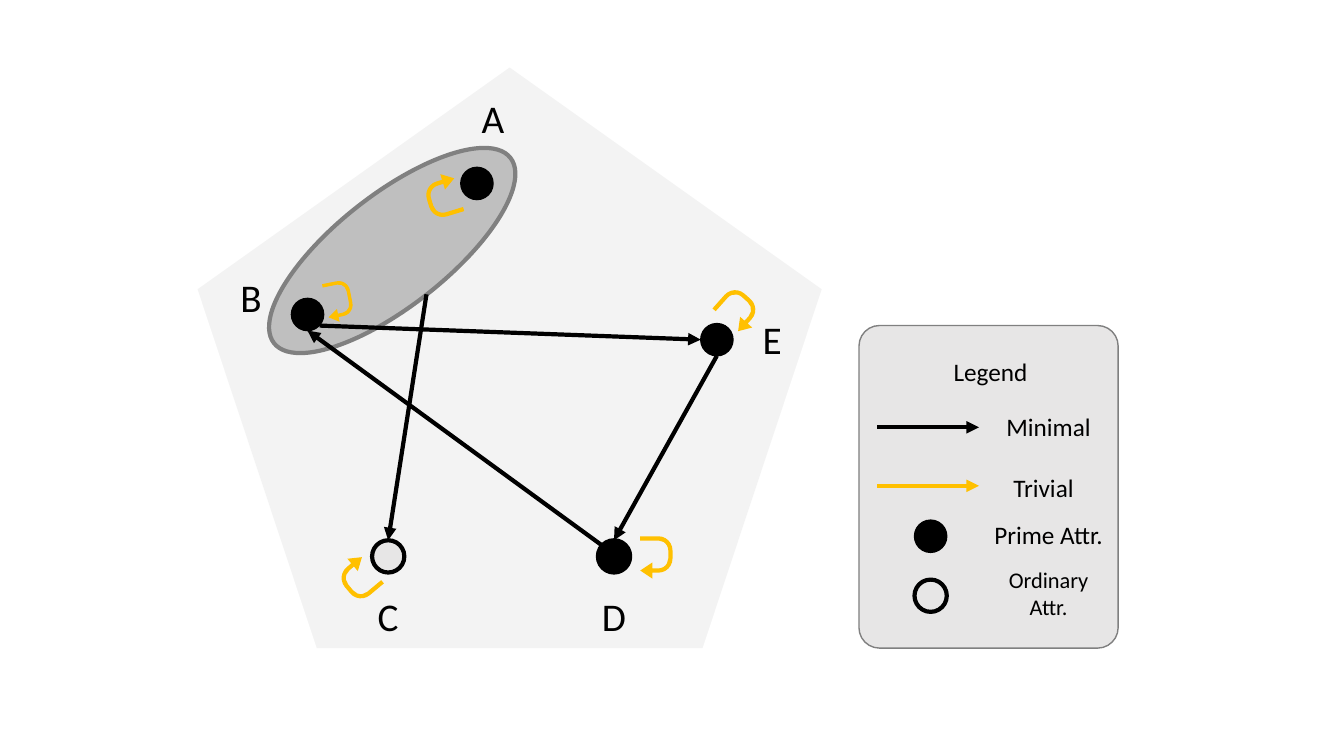
import pptx
import pptx.util
import pptx.dml.color
import pptx.enum.shapes
import pptx.enum.text
import pptx.oxml
from pptx.util import Inches

SHAPE = pptx.enum.shapes.MSO_SHAPE
BLACK, GOLD, GRAY, PALE = "000000", "FFC000", "808080", "E7E6E6"
DOT = 0.32
LOOP_ADJ = (0.132, 0.25, 0.375, 0.438, 1)
LETTER_SIZE = (0.74, 0.57)

# left, top, fill, line width
NODES = [
    (4.57, 1.66, BLACK, 1),
    (2.89, 2.96, BLACK, 1),
    (6.95, 3.21, BLACK, 1),
    (3.69, 5.36, PALE, 3),
    (5.93, 5.36, BLACK, 3),
]
LETTERS = [("A", 4.52, 0.89), ("B", 2.12, 2.66), ("C", 3.48, 5.83),
           ("D", 5.72, 5.83), ("E", 7.29, 3.08)]
# left, top, width, height, rotation
LOOPS = [
    (4.18, 1.78, 0.42, 0.32, 253),
    (3.16, 2.86, 0.40, 0.26, 78.8),
    (7.12, 2.92, 0.42, 0.32, 41.7),
    (6.30, 5.37, 0.42, 0.32, 90),
    (3.34, 5.57, 0.42, 0.32, 230),
]
# start x, start y, end x, end y
DEPENDENCIES = [
    (4.23, 2.92, 3.85, 5.36),
    (3.17, 3.23, 6.95, 3.37),
    (7.11, 3.53, 6.09, 5.36),
    (5.97, 5.41, 3.05, 3.28),
]
LEGEND_ARROWS = [(4.24, BLACK), (4.82, GOLD)]
LEGEND_DOTS = [(9.07, 5.16, BLACK, 1), (9.07, 5.75, PALE, 3)]
# text, left, top, width, height, size
LEGEND_TEXTS = [
    ("Legend", 8.81, 3.49, 2.03, 0.40, 18),
    ("Minimal", 9.71, 4.03, 1.38, 0.40, 18),
    ("Trivial", 9.66, 4.64, 1.38, 0.40, 18),
    ("Prime Attr.", 9.71, 5.10, 1.38, 0.40, 18),
    ("Ordinary Attr.", 9.71, 5.57, 1.38, 0.64, 16),
]

prs = pptx.Presentation()
prs.slide_width, prs.slide_height = Inches(13.33), Inches(7.5)
s = prs.slides.add_slide(prs.slide_layouts[6])


def rgb(color):
    return pptx.dml.color.RGBColor.from_string(color)


def add_shape(kind, x, y, w, h, fill, line=None, width=1, rotation=0, adj=()):
    sp = s.shapes.add_shape(kind, Inches(x), Inches(y), Inches(w), Inches(h))
    sp.shadow.inherit = False
    sp.rotation = rotation
    for i, value in enumerate(adj):
        sp.adjustments[i] = value
    sp.fill.solid()
    sp.fill.fore_color.rgb = rgb(fill)
    if line:
        sp.line.color.rgb = rgb(line)
        sp.line.width = pptx.util.Pt(width)
    else:
        sp.line.fill.background()


def add_dot(x, y, fill, width):
    add_shape(SHAPE.OVAL, x, y, DOT, DOT, fill, BLACK, width)


def add_text(text, x, y, w, h, size):
    tf = s.shapes.add_textbox(Inches(x), Inches(y), Inches(w), Inches(h)).text_frame
    tf.word_wrap = True
    tf.auto_size = pptx.enum.text.MSO_AUTO_SIZE.SHAPE_TO_FIT_TEXT
    p = tf.paragraphs[0]
    p.alignment = pptx.enum.text.PP_ALIGN.CENTER
    r = p.add_run()
    r.text = text
    r.font.name = "Calibri"
    r.font.size = pptx.util.Pt(size)
    r.font.color.rgb = rgb(BLACK)


def add_arrow(x1, y1, x2, y2, color=BLACK):
    c = s.shapes.add_connector(pptx.enum.shapes.MSO_CONNECTOR.STRAIGHT,
                               Inches(x1), Inches(y1), Inches(x2), Inches(y2))
    c.line.color.rgb = rgb(color)
    c.line.width = pptx.util.Pt(3)
    ns = pptx.oxml.ns.nsdecls("a")
    c.line._get_or_add_ln().append(
        pptx.oxml.parse_xml(f'<a:tailEnd {ns} type="triangle"/>'))
    c._element.spPr.append(pptx.oxml.parse_xml(f"<a:effectLst {ns}/>"))


add_shape(SHAPE.REGULAR_PENTAGON, 1.96, 0.67, 6.19, 5.76, "F3F3F3")
add_shape(SHAPE.OVAL, 2.4, 1.93, 2.98, 1.11, "BFBFBF", GRAY, 3, rotation=321.9)
add_shape(SHAPE.ROUNDED_RECTANGLE, 8.52, 3.23, 2.57, 3.2, PALE, GRAY, adj=(0.079,))

for dot in NODES + LEGEND_DOTS:
    add_dot(*dot)
for letter, x, y in LETTERS:
    add_text(letter, x, y, *LETTER_SIZE, 28)
for x, y, w, h, rotation in LOOPS:
    add_shape(SHAPE.U_TURN_ARROW, x, y, w, h, GOLD, rotation=rotation, adj=LOOP_ADJ)
for ends in DEPENDENCIES:
    add_arrow(*ends)
for y, color in LEGEND_ARROWS:
    add_arrow(8.7, y, 9.71, y, color)
for label in LEGEND_TEXTS:
    add_text(*label)

prs.save("out.pptx")
